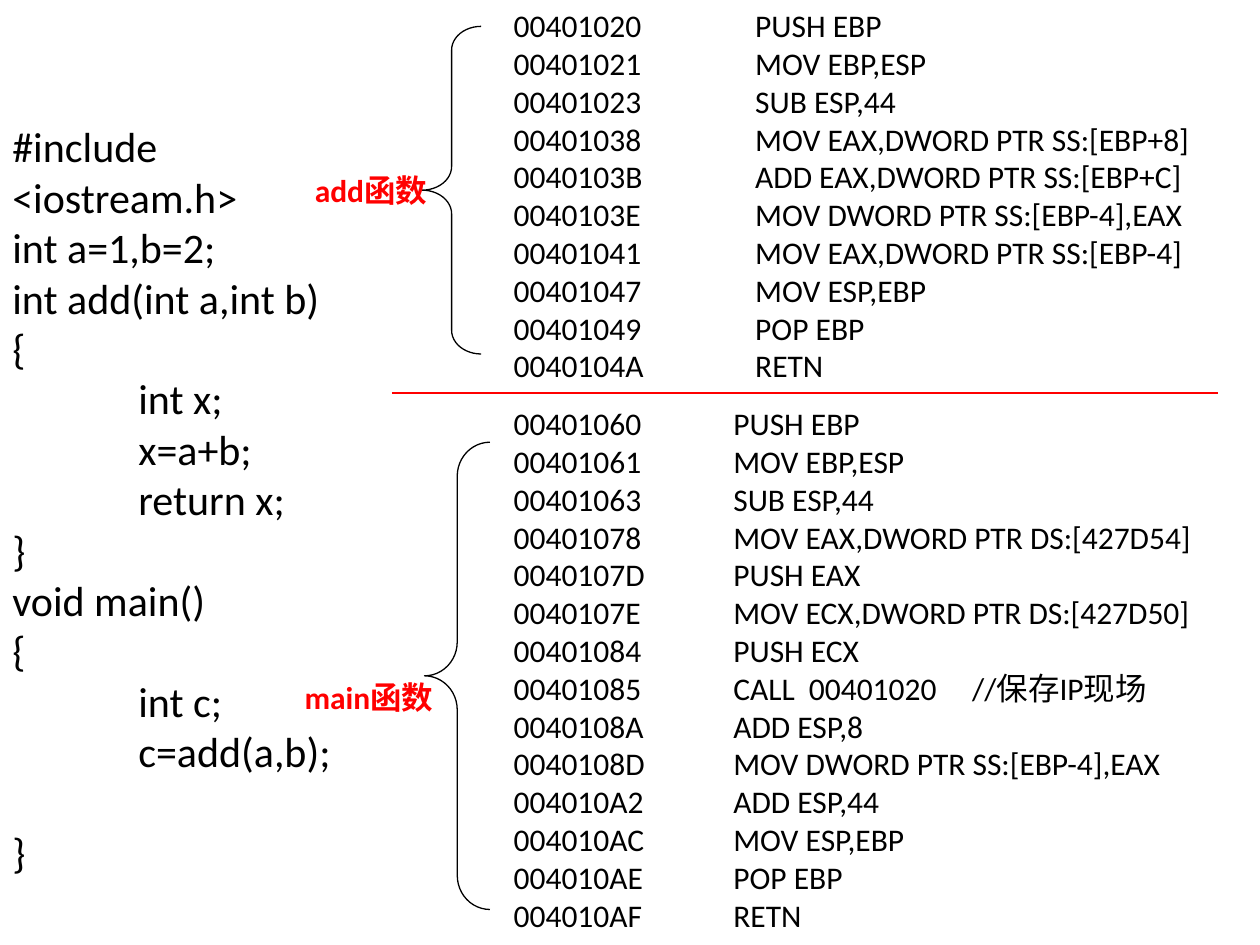
from typing import NamedTuple

from lxml.etree import SubElement
from pptx import Presentation
from pptx.dml.color import RGBColor
from pptx.enum.shapes import MSO_CONNECTOR as Connector, MSO_SHAPE as Shape
from pptx.oxml.ns import qn
from pptx.util import Pt

FONT = "Calibri"
COLORS = {"text": "000000", "accent": "FF0000"}


class Box(NamedTuple):
    left: float
    top: float
    width: float
    height: float


class Function(NamedTuple):
    """One compiled function: its label, brace and disassembly."""
    label: str
    label_box: Box
    brace_box: Box
    curve: float
    listing_box: Box
    tabs: tuple[float, ...]
    listing: str


SOURCE_BOX = Box(0, 65.5, 230.4, 439)
SOURCE = """#include <iostream.h>
int a=1,b=2;
int add(int a,int b)
{
\tint x;
\tx=a+b;
\treturn x;
}
void main()
{
\tint c;
\tc=add(a,b);
}"""

FUNCTIONS = [
    Function("add函数", Box(172.8, 94.3, 90.7, 57.6), Box(241.2, 15.1, 33.8, 187.2), 0.4,
             Box(286.5, 0, 455.8, 223.2), (138,),
             """00401020\tPUSH EBP
00401021\tMOV EBP,ESP
00401023\tSUB ESP,44
00401038\tMOV EAX,DWORD PTR SS:[EBP+8]
0040103B\tADD EAX,DWORD PTR SS:[EBP+C]
0040103E\tMOV DWORD PTR SS:[EBP-4],EAX
00401041\tMOV EAX,DWORD PTR SS:[EBP-4]
00401047\tMOV ESP,EBP
00401049\tPOP EBP
0040104A\tRETN"""),
    Function("main函数", Box(167, 383.8, 100.8, 64.8), Box(242.6, 252.7, 37.4, 267), 0.52,
             Box(286.5, 227.5, 532.8, 310), (125.5, 262),
             """00401060\tPUSH EBP
00401061\tMOV EBP,ESP
00401063\tSUB ESP,44
00401078\tMOV EAX,DWORD PTR DS:[427D54]
0040107D\tPUSH EAX
0040107E\tMOV ECX,DWORD PTR DS:[427D50]
00401084\tPUSH ECX
00401085\tCALL  00401020\t//保存IP现场
0040108A\tADD ESP,8
0040108D\tMOV DWORD PTR SS:[EBP-4],EAX
004010A2\tADD ESP,44
004010AC\tMOV ESP,EBP
004010AE\tPOP EBP
004010AF\tRETN"""),
]


def color(name: str) -> RGBColor:
    return RGBColor.from_string(COLORS[name])


def add_text(shapes, box: Box, text: str, *, size: float, tint: str = "text",
             bold: bool = False, tabs: tuple[float, ...] = ()):
    """Add a text box with one paragraph per line and return its text frame."""
    frame = shapes.add_textbox(*map(Pt, box)).text_frame
    frame.word_wrap = True
    frame.text = text
    for para in frame.paragraphs:
        if tabs:
            stops = SubElement(para._p.get_or_add_pPr(), qn("a:tabLst"))
            for position in tabs:
                SubElement(stops, qn("a:tab"), pos=str(int(Pt(position))), algn="l")
        para.font.name = FONT
        para.font.size = Pt(size)
        para.font.bold = bold
        para.font.color.rgb = color(tint)
    return frame


def add_brace(shapes, box: Box, curve: float) -> None:
    brace = shapes.add_shape(Shape.LEFT_BRACE, *map(Pt, box))
    brace.adjustments[0] = curve
    brace.shadow.inherit = False
    brace.fill.background()
    brace.line.color.rgb = color("text")
    brace.line.width = Pt(0.75)


def add_divider(shapes, left: float, right: float, top: float) -> None:
    line = shapes.add_connector(Connector.STRAIGHT, Pt(left), Pt(top), Pt(right), Pt(top))
    line.line.color.rgb = color("accent")
    line.line.width = Pt(0.75)
    SubElement(line._element.spPr, qn("a:effectLst"))


def main() -> None:
    deck = Presentation()
    deck.slide_width, deck.slide_height = Pt(720), Pt(540)
    page = deck.slides.add_slide(deck.slide_layouts[6])

    source = add_text(page.shapes, SOURCE_BOX, SOURCE, size=24, tabs=(72,))
    source.paragraphs[-1].space_before = Pt(29)

    for function in FUNCTIONS:
        add_text(page.shapes, function.listing_box, function.listing, size=18,
                 tabs=function.tabs)
    add_divider(page.shapes, 224, 696, 224.6)
    for function in FUNCTIONS:
        group = page.shapes.add_group_shape()
        add_brace(group.shapes, function.brace_box, function.curve)
        add_text(group.shapes, function.label_box, function.label, size=18,
                 tint="accent", bold=True)

    deck.save("out.pptx")


if __name__ == "__main__":
    main()
